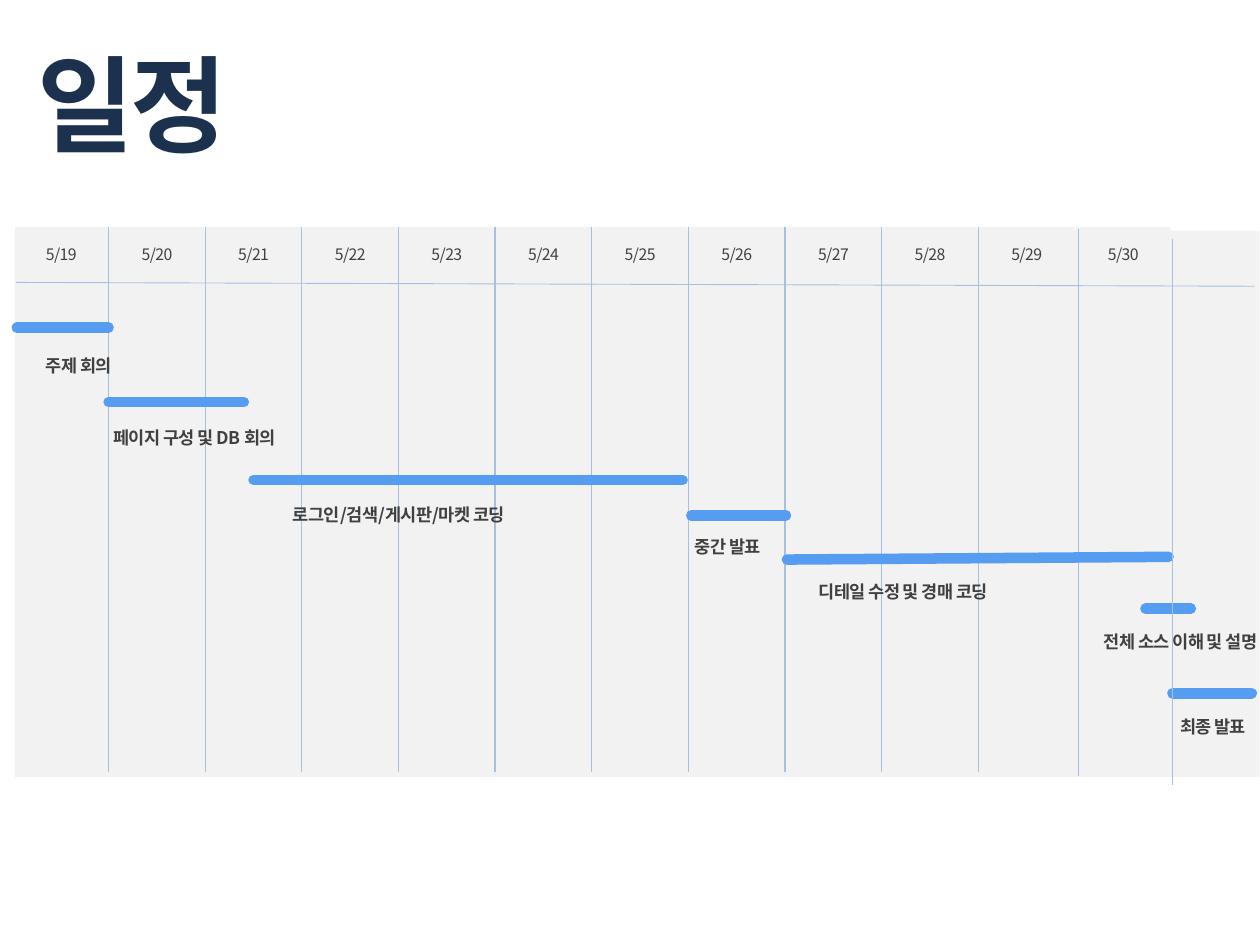
from lxml import etree
from pptx import Presentation
from pptx.dml.color import RGBColor
from pptx.enum.shapes import MSO_CONNECTOR, MSO_SHAPE
from pptx.enum.text import MSO_ANCHOR, MSO_AUTO_SIZE, PP_ALIGN
from pptx.oxml.ns import qn
from pptx.util import Inches, Pt

STRAIGHT, RECTANGLE = MSO_CONNECTOR.STRAIGHT, MSO_SHAPE.RECTANGLE
TOP, MIDDLE = MSO_ANCHOR.TOP, MSO_ANCHOR.MIDDLE
LEFT, CENTER = PP_ALIGN.LEFT, PP_ALIGN.CENTER
NO_FIT, GROW = MSO_AUTO_SIZE.NONE, MSO_AUTO_SIZE.SHAPE_TO_FIT_TEXT

FONT = "Noto Sans CJK KR"
COLORS = {"title": "1C314E", "text": "404040", "panel": "F2F2F2",
          "grid": "A8BFDF", "bar": "569CF0"}
DAYS = [f"5/{day}" for day in range(19, 31)]

# Label, bar (start, end, row at start, row at end), label box (column, row, columns)
TASKS = [
    ("주제 회의", (0.05, 1, 1.85, 1.85), (0.22, 2.19, 2.87)),
    ("페이지 구성 및 DB 회의", (1, 2.4, 3.21, 3.21), (0.92, 3.51, 2.78)),
    ("로그인/검색/게시판/마켓 코딩", (2.5, 6.94, 4.64, 4.64), (2.78, 4.92, 2.61)),
    ("중간 발표", (7.03, 8.01, 5.29, 5.29), (6.94, 5.52, 2.83)),
    ("디테일 수정 및 경매 코딩", (8.02, 11.97, 6.1, 6.05), (8.22, 6.35, 3.99)),
    ("전체 소스 이해 및 설명", (11.73, 12.2, 7, 7), (11.17, 7.25, 2.56)),
    ("최종 발표", (12.01, 12.83, 8.55, 8.55), (11.96, 8.82, 2.56)),
]


class Schedule:
    """A slide whose chart area is a grid of days (columns) and rows."""

    left, top = 0.1, 1.8
    column, row = 0.77, 0.43

    def __init__(self, presentation):
        self.presentation = presentation
        self.slide = presentation.slides.add_slide(presentation.slide_layouts[5])
        # Thirteen columns and ten rows, with narrow outer margins
        self.left, self.column = 0.095, 9.97 / 13
        self.row = 4.33 / 10

    def x(self, columns):
        return Inches(self.left + self.column * columns)

    def y(self, rows):
        return Inches(self.top + self.row * rows)

    def box(self, column, row, columns, rows):
        left, top = self.x(column), self.y(row)
        return left, top, self.x(column + columns) - left, self.y(row + rows) - top

    def set_text(self, shape, text, size, color, bold=False, align=LEFT,
                 anchor=TOP, fit=NO_FIT, wrap=True, line_spacing=1.0, tracking=-0.3):
        frame = shape.text_frame
        frame.text = text
        frame.word_wrap, frame.auto_size, frame.vertical_anchor = wrap, fit, anchor
        paragraph = frame.paragraphs[0]
        paragraph.alignment, paragraph.line_spacing = align, line_spacing
        font = paragraph.font
        font.name, font.size, font.bold = FONT, Pt(size), bold
        font.color.rgb = RGBColor.from_string(COLORS[color])
        # East Asian typeface and letter spacing
        properties = paragraph._p.get_or_add_pPr().get_or_add_defRPr()
        properties.set("spc", str(round(tracking * 100)))
        etree.SubElement(properties, qn("a:ea")).set("typeface", FONT)

    def title(self, text, left, top, width, height):
        shape = self.slide.shapes.title
        slide_width = self.presentation.slide_width
        slide_height = self.presentation.slide_height
        shape.left, shape.width = int(left * slide_width), int(width * slide_width)
        shape.top, shape.height = int(top * slide_height), int(height * slide_height)
        self.set_text(shape, text, 60, "title", bold=True, line_spacing=0.9,
                      tracking=-2.5)

    def panel(self, *place):
        shape = self.slide.shapes.add_shape(RECTANGLE, *self.box(*place))
        shape.shadow.inherit = False
        shape.fill.solid()
        shape.fill.fore_color.rgb = RGBColor.from_string(COLORS["panel"])
        shape.line.fill.background()
        return shape

    def date(self, text, *place):
        self.set_text(self.panel(*place), text, 9, "text", align=CENTER,
                      anchor=MIDDLE, wrap=False)

    def label(self, text, column, row, columns):
        shape = self.slide.shapes.add_textbox(*self.box(column, row, columns, 0.65))
        self.set_text(shape, text, 10, "text", bold=True, fit=GROW, line_spacing=1.1)

    def line(self, start, end, start_row, end_row, color="grid", width=0.75):
        connector = self.slide.shapes.add_connector(
            STRAIGHT, self.x(start), self.y(start_row), self.x(end), self.y(end_row))
        connector.line.color.rgb = RGBColor.from_string(COLORS[color])
        connector.line.width = Pt(width)
        etree.SubElement(connector._element.spPr, qn("a:effectLst"))
        return connector

    def bar(self, *place):
        connector = self.line(*place, color="bar", width=6)
        connector.line._get_or_add_ln().set("cap", "rnd")


def main():
    presentation = Presentation()
    presentation.slide_width, presentation.slide_height = Inches(10), Inches(7.5)
    schedule = Schedule(presentation)
    schedule.title("일정", 0.02, 0.05, 0.38, 0.2)

    # Background and date header
    schedule.panel(0.03, 0.07, 12.88, 10.02)
    for index, day in enumerate(DAYS):
        start = max(index + 0.01, 0.03)
        schedule.date(day, start, 0, index + 0.99 - start, 1)

    # Grid lines
    schedule.line(0.04, 12.86, 1.02, 1.09, width=0.5)
    for index in range(1, 11):
        schedule.line(index, index, 0, 10)
    schedule.line(11.04, 11.04, 0.05, 10.07)

    # Tasks
    for text, bar, label in TASKS:
        schedule.label(text, *label)
        schedule.bar(*bar)

    # Closing line, in front of the bars
    schedule.line(12.01, 12.01, 0.23, 10.23)

    presentation.save("out.pptx")


if __name__ == "__main__":
    main()
